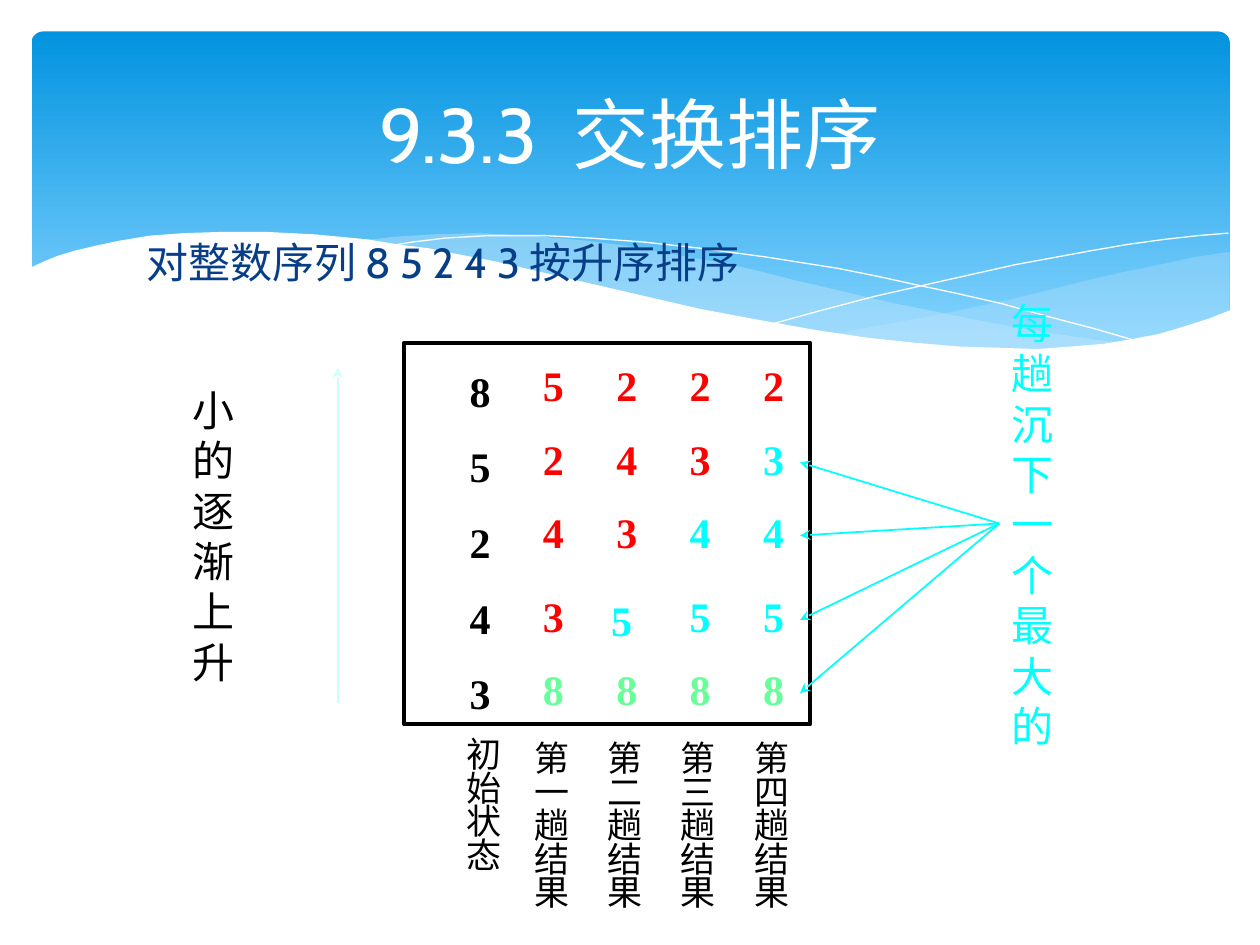
from lxml import etree
from pptx import Presentation
from pptx import util as u
from pptx.dml.color import RGBColor
from pptx.enum import shapes, text
from pptx.oxml.ns import qn

WHITE = RGBColor(0xFF, 0xFF, 0xFF)
BLACK = RGBColor(0x00, 0x00, 0x00)
NAVY = RGBColor(0x07, 0x3E, 0x87)
SKY_TOP = RGBColor(0x02, 0x93, 0xE0)
SKY_BOTTOM = RGBColor(0x83, 0xD3, 0xFE)
MIST = RGBColor(0xC6, 0xE7, 0xFC)
RED = RGBColor(0xFF, 0x00, 0x00)
CYAN = RGBColor(0x00, 0xFF, 0xFF)
GREEN = RGBColor(0x66, 0xFF, 0x99)
PALE = RGBColor(0xCC, 0xFF, 0xFF)

presentation = Presentation()
presentation.slide_width = u.Inches(10)
presentation.slide_height = u.Inches(7.5)
COLUMN = presentation.slide_width // 100
ROW = presentation.slide_height // 75
slide = presentation.slides.add_slide(presentation.slide_layouts[1])


def write_text(content, left, top, width, height, shape=None, size=24, font="Times New Roman",
               color=BLACK, bold=False, align=text.PP_ALIGN.LEFT, spacing=None, wrap=True,
               anchor=text.MSO_ANCHOR.TOP, fit=text.MSO_AUTO_SIZE.SHAPE_TO_FIT_TEXT):
    if shape is None:
        shape = slide.shapes.add_textbox(0, 0, 0, 0)
    shape.left, shape.top = round(left * COLUMN), round(top * ROW)
    shape.width, shape.height = round(width * COLUMN), round(height * ROW)
    frame = shape.text_frame
    frame.text = content
    frame.word_wrap = wrap
    frame.auto_size = fit
    frame.vertical_anchor = anchor
    for paragraph in frame.paragraphs:
        paragraph.alignment = align
        paragraph.line_spacing = spacing
        paragraph.font.size = u.Pt(size)
        paragraph.font.name = font
        paragraph.font.bold = bold
        paragraph.font.color.rgb = color
    return shape


def draw_arrow(start, end, color, arrow_end):
    connector = slide.shapes.add_connector(
        shapes.MSO_CONNECTOR.STRAIGHT, round(start[0] * COLUMN), round(start[1] * ROW),
        round(end[0] * COLUMN), round(end[1] * ROW))
    connector.line.color.rgb = color
    connector.line.width = u.Pt(1)
    etree.SubElement(connector.line._get_or_add_ln(), qn(arrow_end), type="stealth")
    etree.SubElement(connector._element.spPr, qn("a:effectLst"))
    return connector


banner = slide.shapes.add_shape(shapes.MSO_SHAPE.ROUNDED_RECTANGLE, round(2.5 * COLUMN),
                                round(2.5 * ROW), round(95.1 * COLUMN), 27 * ROW)
banner.adjustments[0] = 0.034
banner.shadow.inherit = False
banner.line.fill.background()
banner.fill.gradient()
banner.fill.gradient_angle = 270
for stop, color, position in zip(banner.fill.gradient_stops, (SKY_TOP, SKY_BOTTOM), (0, 0.9)):
    stop.color.rgb = color
    stop.position = position

right_wave = [(975, 200), (948, 204), (921, 210), (891, 216), (861, 223), (805, 237), (753, 248),
              (706, 257), (661, 265), (691, 269), (719, 272), (745, 275), (769, 277), (803, 278),
              (835, 277), (863, 275), (889, 272), (913, 267), (935, 262), (963, 252), (976, 247),
              (976, 200)]
middle_wave = [(893, 273), (866, 269), (837, 265), (807, 260), (775, 254), (741, 247), (706, 240),
               (668, 231), (629, 222), (598, 214), (569, 208), (541, 203), (514, 198), (489, 194),
               (465, 191), (442, 189), (420, 187), (380, 185), (344, 186), (313, 188), (286, 191),
               (323, 196), (362, 203), (404, 211), (449, 222), (491, 232), (530, 240), (566, 248),
               (601, 255), (634, 261), (665, 266), (695, 270), (722, 274), (748, 276), (773, 277),
               (807, 278), (838, 278), (867, 276)]
falling_curve = [(309, 195), (328, 192), (353, 189), (387, 187), (433, 187), (469, 189), (510, 192),
                 (556, 197), (608, 204), (665, 213), (695, 219), (727, 226), (760, 233), (795, 241),
                 (831, 251), (869, 261), (907, 272)]
rising_curve = [(613, 257), (653, 246), (695, 235), (748, 223), (806, 210), (866, 199), (895, 194),
                (924, 190), (951, 187), (975, 185)]
white_wave = [(977, 246), (959, 253), (940, 259), (920, 265), (899, 269), (875, 273), (850, 275),
              (823, 277), (793, 276), (761, 275), (726, 272), (688, 268), (648, 262), (603, 254),
              (555, 245), (503, 233), (447, 220), (391, 207), (365, 202), (340, 197), (316, 194),
              (292, 190), (250, 186), (211, 184), (177, 184), (146, 185), (119, 187), (95, 191),
              (76, 195), (59, 199), (46, 203), (36, 207), (23, 213), (23, 329), (977, 329)]

for points, color, opacity in ((right_wave, MIST, 29), (middle_wave, MIST, 40),
                               (falling_curve, None, 100), (rising_curve, None, 100),
                               (white_wave, WHITE, 100)):
    builder = slide.shapes.build_freeform(*points[0], scale=COLUMN / 10)
    builder.add_line_segments(points[1:], close=color is not None)
    wave = builder.convert_to_shape()
    wave.shadow.inherit = False
    if color is None:
        wave.fill.background()
        wave.line.color.rgb = WHITE
        wave.line.width = u.Pt(0)
        continue
    wave.line.fill.background()
    wave.fill.solid()
    wave.fill.fore_color.rgb = color
    if opacity < 100:
        tone = wave._element.spPr.find(qn("a:solidFill"))[0]
        etree.SubElement(tone, qn("a:alpha"), val=str(opacity * 1000))

title = write_text("9.3.3  交换排序", 5, 3.7, 90, 13.7, shape=slide.shapes.title, size=44,
                   font="Cabin", color=WHITE, align=text.PP_ALIGN.CENTER,
                   anchor=text.MSO_ANCHOR.MIDDLE, fit=text.MSO_AUTO_SIZE.NONE)
body = write_text("对整数序列 8 5 2 4 3 按升序排序", 10.6, 18.3, 79.5, 7.5,
                  shape=slide.placeholders[1], font="Cabin", color=NAVY,
                  fit=text.MSO_AUTO_SIZE.NONE)
properties = body.text_frame.paragraphs[0]._p.get_or_add_pPr()
properties.set("marL", "0")
properties.set("indent", "0")
etree.SubElement(properties, qn("a:buNone"))
for placeholder in (title, body):
    slide.shapes._spTree.append(placeholder._element)

write_text("8\n5\n2\n4\n3", 36.3, 26.5, 3.7, 31, bold=True, spacing=1.5, wrap=False)

PASS_LEFT, PASS_STEP = 42.1, 5.83
DIGIT_TOPS = (28, 33.9, 39.7, 46.4, 52.2)
passes = ("52438", "24358", "23458", "23458")
for number, digits in enumerate(passes):
    for index, digit in enumerate(digits):
        color = GREEN if index == 4 else CYAN if index >= 4 - number else RED
        shift_x, shift_y = (-0.4, 0.3) if (number, index) == (1, 3) else (0, 0)
        write_text(digit, PASS_LEFT + number * PASS_STEP + shift_x, DIGIT_TOPS[index] + shift_y,
                   3.7, 5.1, color=color, bold=True, wrap=False)

frame_box = slide.shapes.add_shape(shapes.MSO_SHAPE.RECTANGLE, round(32.1 * COLUMN),
                                   round(27.2 * ROW), round(32.2 * COLUMN), round(30.3 * ROW))
frame_box.shadow.inherit = False
frame_box.fill.background()
frame_box.line.color.rgb = BLACK
frame_box.line.width = u.Pt(2.25)

write_text("初始状态", 36, 58.3, 4.2, 11.7, size=20, spacing=0.8)
for number, name in enumerate("一二三四"):
    write_text(f"第{name}趟结果", 41.4 + number * PASS_STEP, 58.6, 4.2, 14.4, size=20, spacing=0.8)

write_text("小的逐渐上升", 14.3, 30, 6.7, 25.2)
draw_arrow((26.8, 55.8), (26.8, 29.2), PALE, "a:tailEnd")

sink_label = write_text("每趟沉下一个最大的", 79.3, 23.1, 5.8, 36.9, color=CYAN)
for top in DIGIT_TOPS[1:]:
    arrow = draw_arrow((63.5, top + 2.8), (79.3, 41.7), CYAN, "a:headEnd")
    arrow.end_connect(sink_label, 1)

presentation.save("out.pptx")
